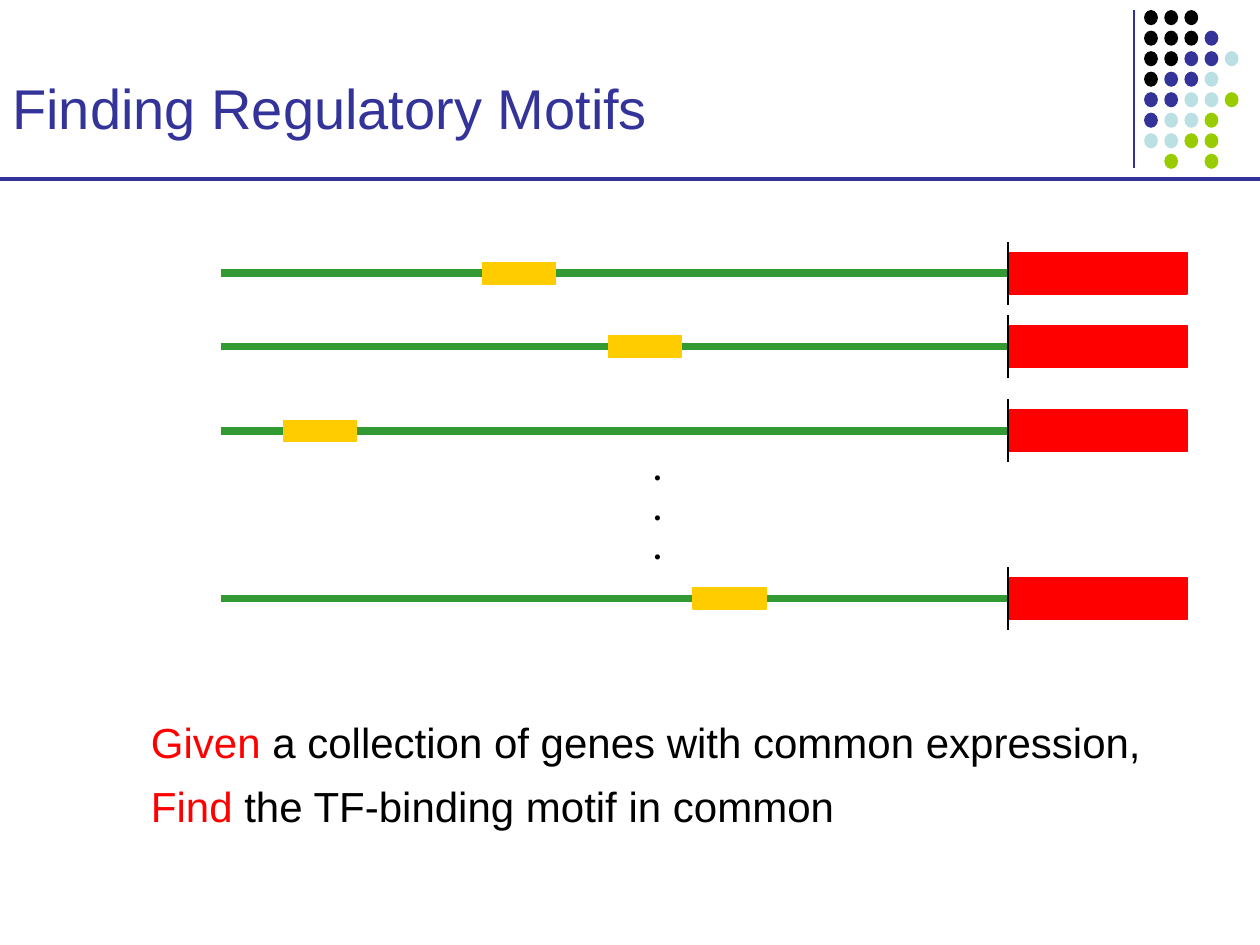
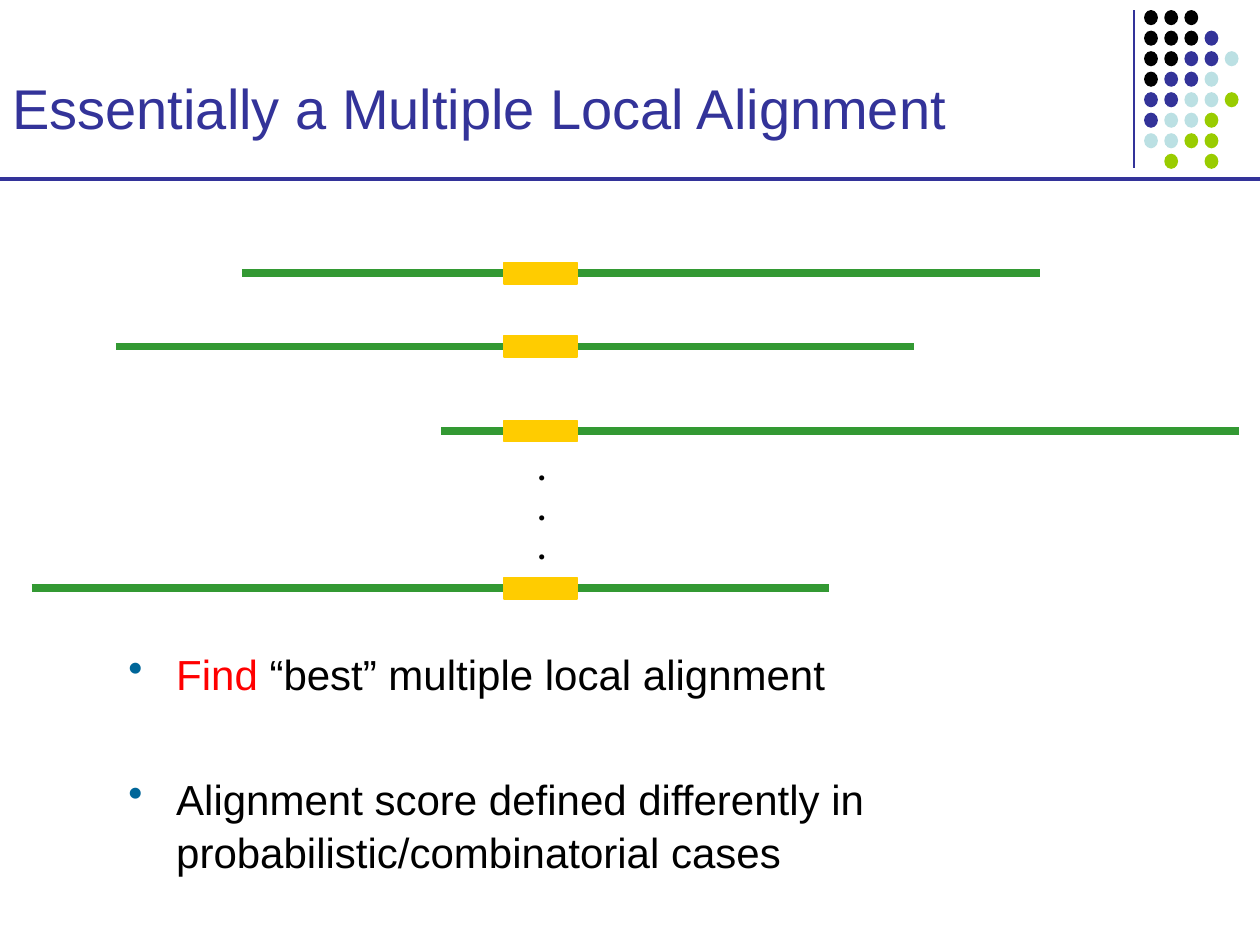
from lxml import etree
from pptx import Presentation
from pptx.dml.color import RGBColor
from pptx.enum.shapes import MSO_CONNECTOR, MSO_SHAPE
from pptx.enum.text import MSO_ANCHOR, MSO_AUTO_SIZE
from pptx.oxml.ns import qn
from pptx.util import Inches, Pt

BLACK = RGBColor(0x00, 0x00, 0x00)
NAVY = RGBColor(0x33, 0x33, 0x99)
AQUA = RGBColor(0xBB, 0xE0, 0xE3)
LIME = RGBColor(0x99, 0xCC, 0x00)
RED = RGBColor(0xFF, 0x00, 0x00)
GREEN = RGBColor(0x33, 0x99, 0x33)
GOLD = RGBColor(0xFF, 0xCC, 0x00)
BULLET_BLUE = RGBColor(0x00, 0x66, 0x99)

DOT_COLORS = {"K": BLACK, "N": NAVY, "A": AQUA, "G": LIME}
DOT_ROWS = ["KKK", "KKKN", "KKNNA", "KNNA", "NNAAG", "NAAG", "AAGG", " G G"]
DOT_STEP_X = 0.16
DOT_STEP_Y = 1.14 / 7

SEQUENCE_LENGTH = 6.33
MOTIF_OFFSETS = [2.08, 3.08, 0.5, 3.75]
MOTIF_WIDTH, MOTIF_HEIGHT = 0.58, 0.17
GENE_LEFT, GENE_WIDTH, GENE_HEIGHT = 8, 1.42, 0.33
LINE_SPACING = 1.05


class Deck:
    def __init__(self):
        self.presentation = Presentation()
        self.presentation.slide_width = Inches(10)
        self.presentation.slide_height = Inches(7.5)
        self.slide = None

    def add_slide(self, title):
        """Start a slide with the shared rules, dot pattern and title."""
        self.slide = self.presentation.slides.add_slide(self.presentation.slide_layouts[6])
        self.line(9, 0.08, 9, 1.33, NAVY, 1.5)
        for row, codes in enumerate(DOT_ROWS):
            for column, code in enumerate(codes):
                if code in DOT_COLORS:
                    self.shape(MSO_SHAPE.OVAL, 9.08 + column * DOT_STEP_X,
                               0.08 + row * DOT_STEP_Y, 0.11, 0.12, DOT_COLORS[code])
        self.line(0, 1.42, 10, 1.42, NAVY, 2.25)
        frame = self.text_frame(0, 0.17, 8.92, 1)
        frame.vertical_anchor = MSO_ANCHOR.BOTTOM
        self.paragraph(frame, [(title, NAVY)], 32)

    def line(self, x1, y1, x2, y2, color, width):
        connector = self.slide.shapes.add_connector(
            MSO_CONNECTOR.STRAIGHT, Inches(x1), Inches(y1), Inches(x2), Inches(y2))
        connector.line.color.rgb = color
        connector.line.width = Pt(width)
        etree.SubElement(connector._element.spPr, qn("a:effectLst"))

    def shape(self, kind, left, top, width, height, color, outlined=False):
        shape = self.slide.shapes.add_shape(
            kind, Inches(left), Inches(top), Inches(width), Inches(height))
        shape.shadow.inherit = False
        shape.fill.solid()
        shape.fill.fore_color.rgb = color
        if outlined:
            shape.line.color.rgb = color
            shape.line.width = Pt(0.75)
        else:
            shape.line.fill.background()

    def text_frame(self, left, top, width, height):
        box = self.slide.shapes.add_textbox(
            Inches(left), Inches(top), Inches(width), Inches(height))
        box.text_frame.word_wrap = True
        return box.text_frame

    def paragraph(self, frame, runs, size, font="Arial", bold=False, before=0, bullet=False):
        """Add a paragraph of (text, color) runs, filling the frame's empty first one."""
        is_first = not frame.paragraphs[0].runs
        paragraph = frame.paragraphs[0] if is_first else frame.add_paragraph()
        if bullet:
            properties = paragraph._p.get_or_add_pPr()
            properties.set("marL", str(Inches(0.38)))
            properties.set("indent", str(Inches(-0.38)))
            bullet_color = etree.SubElement(properties, qn("a:buClr"))
            etree.SubElement(bullet_color, qn("a:srgbClr"), val=str(BULLET_BLUE))
            etree.SubElement(properties, qn("a:buChar"), char="•")
        paragraph.line_spacing = LINE_SPACING
        if before:
            paragraph.space_before = Pt(before)
        paragraph.font.name = font
        paragraph.font.size = Pt(size)
        paragraph.font.bold = bold
        for text, color in runs:
            run = paragraph.add_run()
            run.text = text
            run.font.color.rgb = color

    def sequence(self, left, y):
        self.line(left, y, left + SEQUENCE_LENGTH, y, GREEN, 4.5)

    def gene(self, y):
        """Draw a gene box with the tick that marks its start."""
        self.shape(MSO_SHAPE.RECTANGLE, GENE_LEFT, y - GENE_HEIGHT / 2,
                   GENE_WIDTH, GENE_HEIGHT, RED, outlined=True)
        self.line(GENE_LEFT, y - 0.25, GENE_LEFT, y + 0.25, BLACK, 0.75)

    def motif(self, left, y):
        self.shape(MSO_SHAPE.RECTANGLE, left, y - MOTIF_HEIGHT / 2,
                   MOTIF_WIDTH, MOTIF_HEIGHT, GOLD, outlined=True)

    def vertical_ellipsis(self, left):
        frame = self.text_frame(left, 3.5, 0.26, 1)
        frame.word_wrap = False
        frame.auto_size = MSO_AUTO_SIZE.SHAPE_TO_FIT_TEXT
        for _ in range(3):
            self.paragraph(frame, [(".", BLACK)], 18, "Times New Roman", bold=True)


def add_motif_slide(deck):
    deck.add_slide("Finding Regulatory Motifs")
    frame = deck.text_frame(1.1, 5.62, 8.4, 1.63)
    deck.paragraph(frame, [("Given", RED),
                           (" a collection of genes with common expression,", BLACK)], 24)
    deck.paragraph(frame, [("Find", RED), (" the TF-binding motif in common", BLACK)],
                   24, before=6)
    sequence_left = 1.75
    for y, offset in zip([2.17, 2.75, 3.42, 4.75], MOTIF_OFFSETS):
        deck.sequence(sequence_left, y)
        deck.gene(y)
        deck.motif(sequence_left + offset, y)
    deck.vertical_ellipsis(5.09)


def add_alignment_slide(deck):
    deck.add_slide("Essentially a Multiple Local Alignment")
    frame = deck.text_frame(0.92, 5.08, 8.92, 2.08)
    deck.paragraph(frame, [("Find", RED), (" “best” multiple local alignment", BLACK)],
                   24, bullet=True)
    deck.paragraph(
        frame,
        [("Alignment score defined differently in probabilistic/combinatorial cases", BLACK)],
        24, before=41, bullet=True)
    motif_left = 4
    for y, offset in zip([2.17, 2.75, 3.42, 4.67], MOTIF_OFFSETS):
        deck.sequence(motif_left - offset, y)
        deck.motif(motif_left, y)
    deck.vertical_ellipsis(4.17)


def main():
    deck = Deck()
    add_motif_slide(deck)
    add_alignment_slide(deck)
    deck.presentation.save("out.pptx")


if __name__ == "__main__":
    main()
